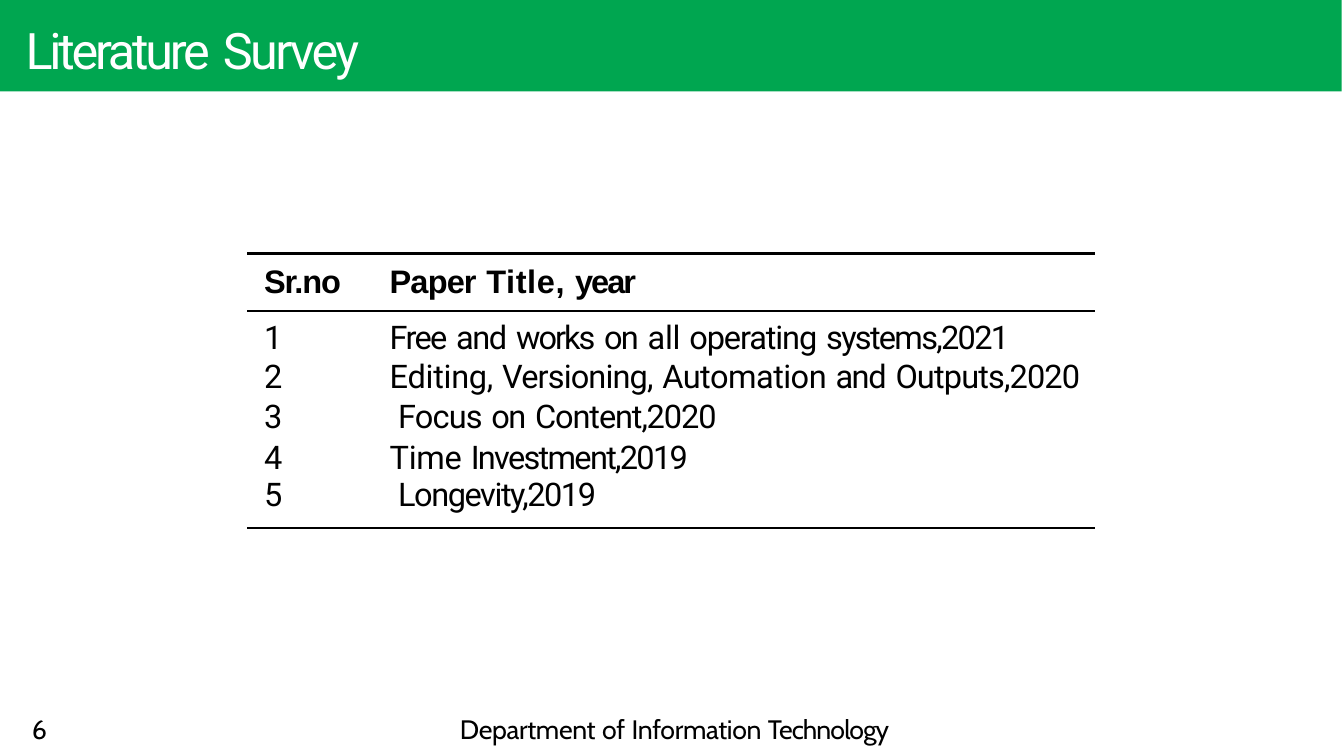
from itertools import groupby

from lxml import etree
from pptx import Presentation
from pptx.dml.color import RGBColor
from pptx.enum.shapes import MSO_CONNECTOR, MSO_SHAPE
from pptx.enum.text import MSO_ANCHOR, MSO_AUTO_SIZE, PP_ALIGN
from pptx.oxml.ns import qn
from pptx.util import Inches, Pt

RECTANGLE, STRAIGHT = MSO_SHAPE.RECTANGLE, MSO_CONNECTOR.STRAIGHT
TOP, MIDDLE, BOTTOM = MSO_ANCHOR.TOP, MSO_ANCHOR.MIDDLE, MSO_ANCHOR.BOTTOM
FIXED_SIZE, LEFT = MSO_AUTO_SIZE.NONE, PP_ALIGN.LEFT
NO_TABLE_STYLE = "{2D5ABB26-0587-4C30-8999-92F81FD0307C}"

WIDTH, HEIGHT = 6.31, 3.55
GREEN, WHITE, BLACK = "00A650", "FFFFFF", "000000"
SPACE_SPACING = 0.2

TITLE = [("Literature ", -1.1), ("Survey", -0.9)]
HEADER = [
    [("Sr.no", -0.4)],
    [("Paper ", -0.3), ("Title, ", 0.2), ("year", -0.7)],
]
PAPERS = [
    [("Free ", -0.6), ("and ", -0.5), ("works ", -0.7), ("on ", -0.6),
     ("all ", -0.1), ("operating ", -0.4), ("systems,2021", -0.6)],
    [("Editing, ", -0.1), ("Versioning, ", -0.3), ("Automation ", -0.2),
     ("and ", -0.5), ("Outputs,2020", -0.3)],
    [("Focus ", -0.3), ("on ", -0.6), ("Content,2020", -0.4)],
    [("Time ", -0.1), ("Investment,2019", -0.6)],
    [("Longevity,2019", -0.5)],
]
INDENTED_PAPERS = {3, 5}
PAGE_NUMBER = [("6", -0.5)]
DEPARTMENT = [("Department of Information ", -0.1), ("Technology", -0.3)]

TABLE_LEFT, TABLE_TOP = 1.16, 1.19
COLUMN_WIDTHS = [0.59, 3.39]
ROW_HEIGHTS = [0.27, 0.22, 0.18, 0.19, 0.19, 0.24]
CELL_MARGIN, PAPER_INDENT = 0.08, 0.04
LAST_ROW = len(PAPERS)
RULES = [(0, 0.87), (1, 0.54), (len(ROW_HEIGHTS), 0.87)]


def color(value):
    return RGBColor.from_string(value)


def write(text_frame, pieces, font, size, text_color, bold=False):
    paragraph = text_frame.paragraphs[0]
    for words, spacing in pieces:
        for is_space, characters in groupby(words, str.isspace):
            run = paragraph.add_run()
            run.text = "".join(characters)
            run.font.name = font
            run.font.size = Pt(size)
            run.font.bold = bold
            run.font.color.rgb = color(text_color)
            points = SPACE_SPACING if is_space else spacing
            run.font._element.set("spc", str(round(points * 100)))


def clear_frame(text_frame):
    text_frame.margin_left = text_frame.margin_right = 0
    text_frame.margin_top = text_frame.margin_bottom = 0
    text_frame.vertical_anchor = TOP
    text_frame.auto_size = FIXED_SIZE
    text_frame.word_wrap = True


def add_rule(slide, top, width):
    right = TABLE_LEFT + sum(COLUMN_WIDTHS)
    rule = slide.shapes.add_connector(
        STRAIGHT, Inches(TABLE_LEFT), Inches(top), Inches(right), Inches(top))
    rule.line.color.rgb = color(BLACK)
    rule.line.width = Pt(width)
    etree.SubElement(rule._element.spPr, qn("a:effectLst"))


def add_footer(slide, left, width, pieces):
    box = slide.shapes.add_textbox(Inches(left), Inches(3.35), Inches(width), Inches(0.16))
    clear_frame(box.text_frame)
    write(box.text_frame, pieces, "Cabin", 9, BLACK)


presentation = Presentation()
presentation.slide_width = Inches(WIDTH)
presentation.slide_height = Inches(HEIGHT)
slide = presentation.slides.add_slide(presentation.slide_layouts[5])

banner = slide.shapes.add_shape(RECTANGLE, 0, 0, Inches(6.3), Inches(0.43))
banner.shadow.inherit = False
banner.fill.solid()
banner.fill.fore_color.rgb = color(GREEN)
banner.line.fill.background()
slide.shapes._spTree.insert(2, banner._element)

title = slide.shapes.title
title.left, title.top = Inches(0.12), Inches(0.09)
title.width, title.height = Inches(1.8), Inches(0.3)
clear_frame(title.text_frame)
title.text_frame.paragraphs[0].alignment = LEFT
write(title.text_frame, TITLE, "Roboto", 17, WHITE)

rows = [HEADER] + [[[(str(number), -0.6)], paper] for number, paper in enumerate(PAPERS, 1)]
frame = slide.shapes.add_table(
    len(rows), len(COLUMN_WIDTHS), Inches(TABLE_LEFT), Inches(TABLE_TOP),
    Inches(sum(COLUMN_WIDTHS)), Inches(sum(ROW_HEIGHTS)))
table = frame.table
table.first_row = table.horz_banding = False
table._tbl.tblPr.find(qn("a:tableStyleId")).text = NO_TABLE_STYLE
for column, width in zip(table.columns, COLUMN_WIDTHS):
    column.width = Inches(width)
for row, height in zip(table.rows, ROW_HEIGHTS):
    row.height = Inches(height)

for row_index, texts in enumerate(rows):
    is_header = row_index == 0
    anchor = MIDDLE if is_header else TOP if row_index == LAST_ROW else BOTTOM
    for column_index, pieces in enumerate(texts):
        cell = table.cell(row_index, column_index)
        indented = column_index == 1 and row_index in INDENTED_PAPERS
        cell.margin_left = Inches(CELL_MARGIN + (PAPER_INDENT if indented else 0))
        cell.margin_right = cell.margin_top = cell.margin_bottom = 0
        cell.vertical_anchor = anchor
        cell.fill.background()
        write(cell.text_frame, pieces, "Arial" if is_header else "Roboto", 11, BLACK, is_header)

for rows_above, width in RULES:
    add_rule(slide, TABLE_TOP + sum(ROW_HEIGHTS[:rows_above]), width)

add_footer(slide, 0.15, 0.2, PAGE_NUMBER)
add_footer(slide, 2.16, 2.1, DEPARTMENT)

presentation.save("out.pptx")
